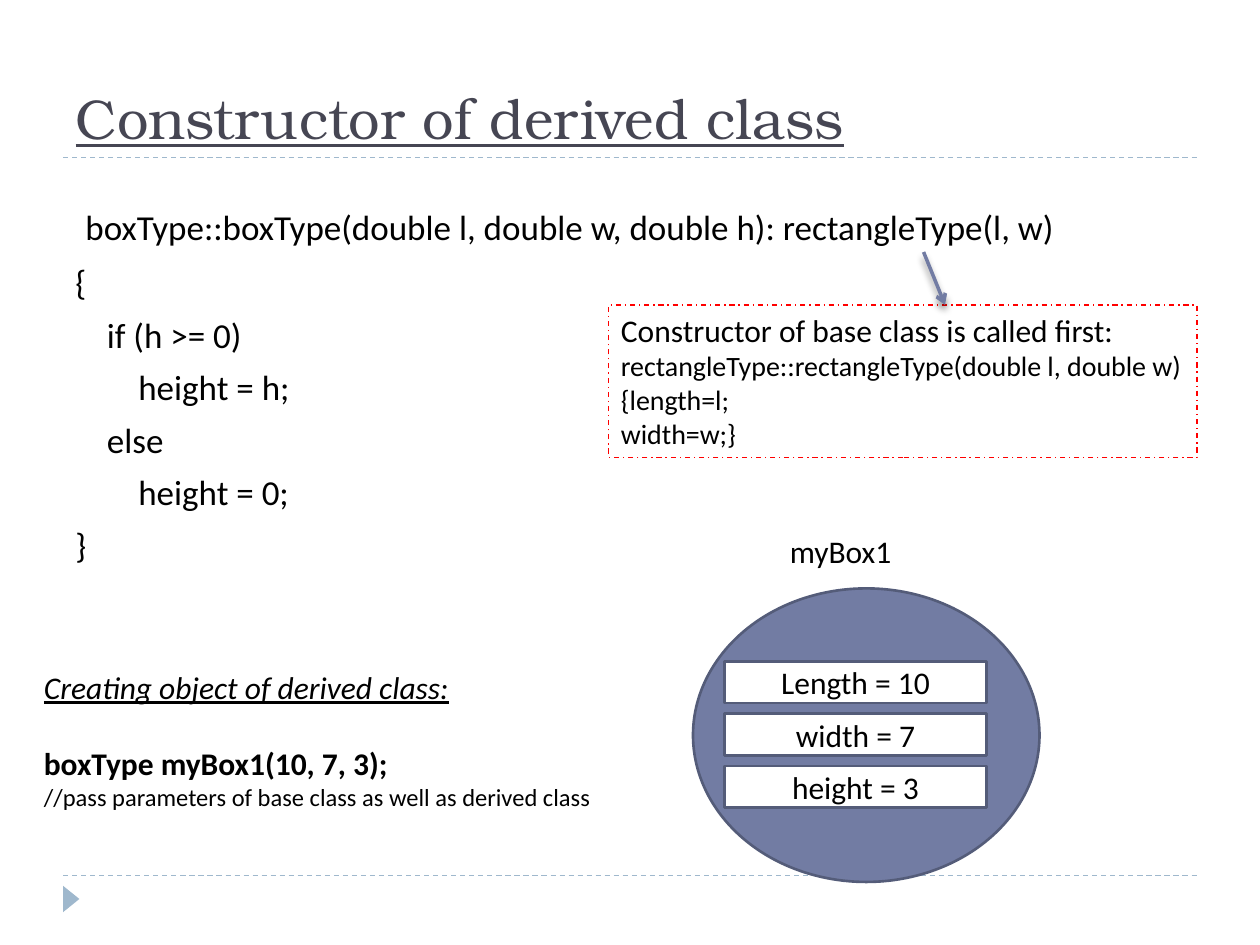
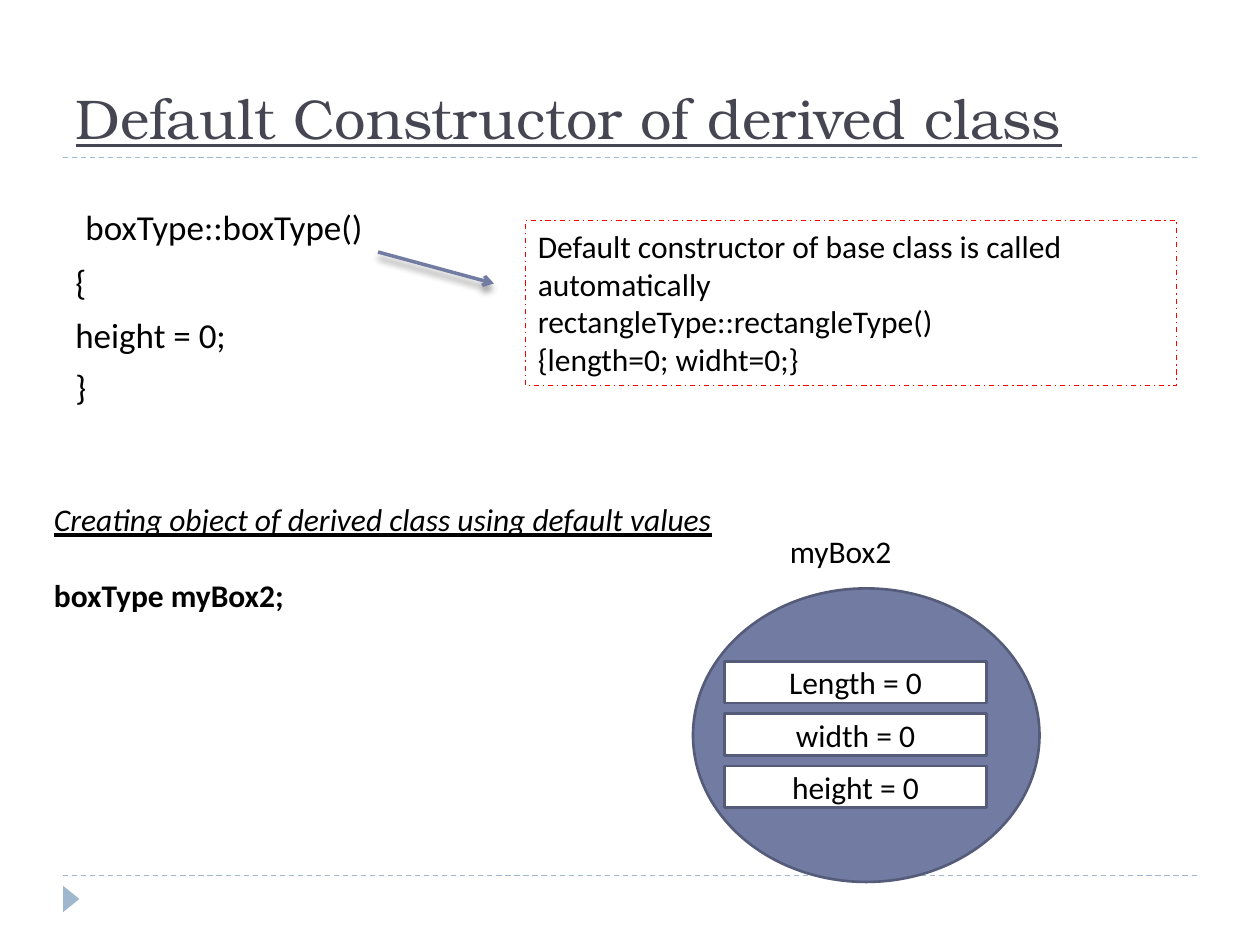
from lxml.etree import SubElement
from pptx import Presentation
from pptx.dml.color import RGBColor
from pptx.enum.dml import MSO_LINE
from pptx.enum.shapes import MSO_CONNECTOR, MSO_SHAPE
from pptx.enum.text import MSO_ANCHOR, MSO_AUTO_SIZE, PP_ALIGN
from pptx.oxml.ns import qn
from pptx.util import Inches, Pt

COLORS = {
    "title": "464653", "text": "000000", "rule": "9FB8CD", "object": "727CA3",
    "outline": "545C79", "field": "FFFFFF", "callout": "FF0000",
}
TITLE_FONT = "TeX Gyre Bonum"
BODY_FONT = "Calibri"
INDENT_STEP = 0.25


def color(key):
    return RGBColor.from_string(COLORS[key])


def style(paragraph, size, font=BODY_FONT, key="text", **flags):
    paragraph.font.name = font
    paragraph.font.size = Pt(size)
    paragraph.font.color.rgb = color(key)
    for flag, value in flags.items():
        setattr(paragraph.font, flag, value)


def write_lines(frame, lines):
    """Write (text, size, font flags) lines and return their paragraphs."""
    frame.word_wrap = True
    for index, (text, size, flags) in enumerate(lines):
        paragraph = frame.add_paragraph() if index else frame.paragraphs[0]
        paragraph.text = text
        style(paragraph, size, **flags)
    return frame.paragraphs


def add_text(slide, box, lines):
    frame = slide.shapes.add_textbox(*map(Inches, box)).text_frame
    return frame, write_lines(frame, lines)


def add_box(slide, preset, box, fill=None, line=None, width=1.5):
    shape = slide.shapes.add_shape(preset, *map(Inches, box))
    shape.shadow.inherit = False
    if fill:
        shape.fill.solid()
        shape.fill.fore_color.rgb = color(fill)
    else:
        shape.fill.background()
    if line:
        shape.line.color.rgb = color(line)
        shape.line.width = Pt(width)
    else:
        shape.line.fill.background()
    return shape


def add_line(slide, start, end, key, width):
    line = slide.shapes.add_connector(
        MSO_CONNECTOR.STRAIGHT, *map(Inches, (*start, *end)))
    line.line.color.rgb = color(key)
    line.line.width = Pt(width)
    return line, line.line._get_or_add_ln()


def add_effects(line):
    return SubElement(line._element.spPr, qn("a:effectLst"))


def add_frame(slide, title):
    # Dashed rules and corner marker
    for y in (6.95, 1.25):
        rule, _ = add_line(slide, (0.5, y), (9.5, y), "rule", 0.75)
        rule.line.dash_style = MSO_LINE.DASH
        add_effects(rule)
    marker = add_box(slide, MSO_SHAPE.ISOSCELES_TRIANGLE,
                     (0.46, 7.07, 0.21, 0.13), fill="rule")
    marker.rotation = 90

    # Title
    heading = slide.shapes.title
    heading.left, heading.top, heading.width, heading.height = map(
        Inches, (0.5, 0.17, 9, 1.08))
    frame = heading.text_frame
    frame.text = title
    frame.auto_size = MSO_AUTO_SIZE.NONE
    frame.vertical_anchor = MSO_ANCHOR.BOTTOM
    frame.paragraphs[0].alignment = PP_ALIGN.LEFT
    style(frame.paragraphs[0], 32, TITLE_FONT, "title", underline=True)


def add_code(slide, box, code):
    """Place (indent level, text) lines; the first is the signature."""
    frame, paragraphs = add_text(slide, box, [(text, 20, {}) for _, text in code])
    frame.margin_top = Inches(0.13)
    for index, (paragraph, (level, _)) in enumerate(zip(paragraphs, code)):
        indent = level * INDENT_STEP if index else 0.08
        paragraph._p.get_or_add_pPr().set("marL", str(Inches(indent)))
        paragraph.space_before = Pt((0, 7.5)[index] if index < 2 else 6)


def add_callout(slide, box, lines, arrow):
    # Note about the base class
    note = add_box(slide, MSO_SHAPE.RECTANGLE, box, line="callout", width=0.75)
    note.line.dash_style = MSO_LINE.DASH_DOT
    note.text_frame.vertical_anchor = MSO_ANCHOR.TOP
    for paragraph in write_lines(note.text_frame,
                                 [(text, size, {}) for text, size in lines]):
        paragraph.alignment = PP_ALIGN.LEFT

    # Arrow with a soft shadow
    pointer, ln = add_line(slide, *arrow, "object", 2)
    SubElement(ln, qn("a:tailEnd"), type="arrow")
    shadow = SubElement(
        add_effects(pointer), qn("a:outerShdw"), blurRad=str(Pt(4)),
        dist=str(Pt(3.4)), dir="5400000", rotWithShape="0")
    tint = SubElement(shadow, qn("a:srgbClr"), val=COLORS["text"])
    SubElement(tint, qn("a:alpha"), val="40000")


def add_creation(slide, box, heading, statement, remark=None):
    lines = [(heading, 18, {"italic": True, "underline": True}),
             (statement, 18, {"bold": True})]
    if remark:
        lines.append((remark, 14, {}))
    _, paragraphs = add_text(slide, box, lines)
    paragraphs[1].space_before = Pt(22)


def add_object(slide, box, name, fields):
    left, top, width, height = box
    # Object body and its label
    add_box(slide, MSO_SHAPE.OVAL, box, "object", "outline")
    add_text(slide, (left + 0.67, top - 0.5, 1.83, 0.42), [(name, 18, {})])

    # Member values
    for row, (member, value) in enumerate(fields):
        field = add_box(slide, MSO_SHAPE.RECTANGLE,
                        (left + 0.25, top + 0.58 + row * 0.415, 2.08, 0.33),
                        "field", "outline")
        frame = field.text_frame
        frame.vertical_anchor = MSO_ANCHOR.MIDDLE
        write_lines(frame, [(f"{member} = {value}", 18, {})])
        frame.paragraphs[0].alignment = PP_ALIGN.CENTER


def add_constructor_slide(deck, title, code, callout, creation, name, values):
    slide = deck.slides.add_slide(deck.slide_layouts[5])
    add_frame(slide, title)
    add_code(slide, (0.5, 1.5, 9, 5.33), code)
    add_callout(slide, *callout)
    add_creation(slide, *creation)
    add_object(slide, (5.5, 4.67, 2.75, 2.33), name,
               zip(("Length", "width", "height"), values))


def main():
    deck = Presentation()
    deck.slide_width, deck.slide_height = Inches(10), Inches(7.5)

    add_constructor_slide(
        deck, "Constructor of derived class",
        code=[
            (0, "boxType::boxType(double l, double w, double h): rectangleType(l, w)"),
            (0, "{"), (1, "if (h >= 0)"), (2, "height = h;"),
            (1, "else"), (2, "height = 0;"), (0, "}"),
        ],
        callout=(
            (4.83, 2.42, 4.67, 1.21),
            [("Constructor of base class is called first:", 18),
             ("rectangleType::rectangleType(double l, double w)", 16),
             ("{length=l;", 16), ("width=w;}", 16)],
            ((7.33, 2), (7.5, 2.42)),
        ),
        creation=(
            (0.25, 5.25, 5.67, 1.55), "Creating object of derived class:",
            "boxType myBox1(10, 7, 3);",
            "//pass parameters of base class as well as derived class",
        ),
        name="myBox1", values=(10, 7, 3))

    add_constructor_slide(
        deck, "Default Constructor of derived class",
        code=[(0, "boxType::boxType()"), (0, "{"), (0, "height = 0;"), (0, "}")],
        callout=(
            (4.17, 1.75, 5.17, 1.31),
            [("Default constructor of base class is called automatically", 18),
             ("rectangleType::rectangleType()", 18),
             ("{length=0; widht=0;}", 18)],
            ((3, 2), (3.92, 2.25)),
        ),
        creation=(
            (0.33, 3.92, 5.67, 1.31),
            "Creating object of derived class using default values",
            "boxType myBox2;",
        ),
        name="myBox2", values=(0, 0, 0))

    deck.save("out.pptx")


if __name__ == "__main__":
    main()
